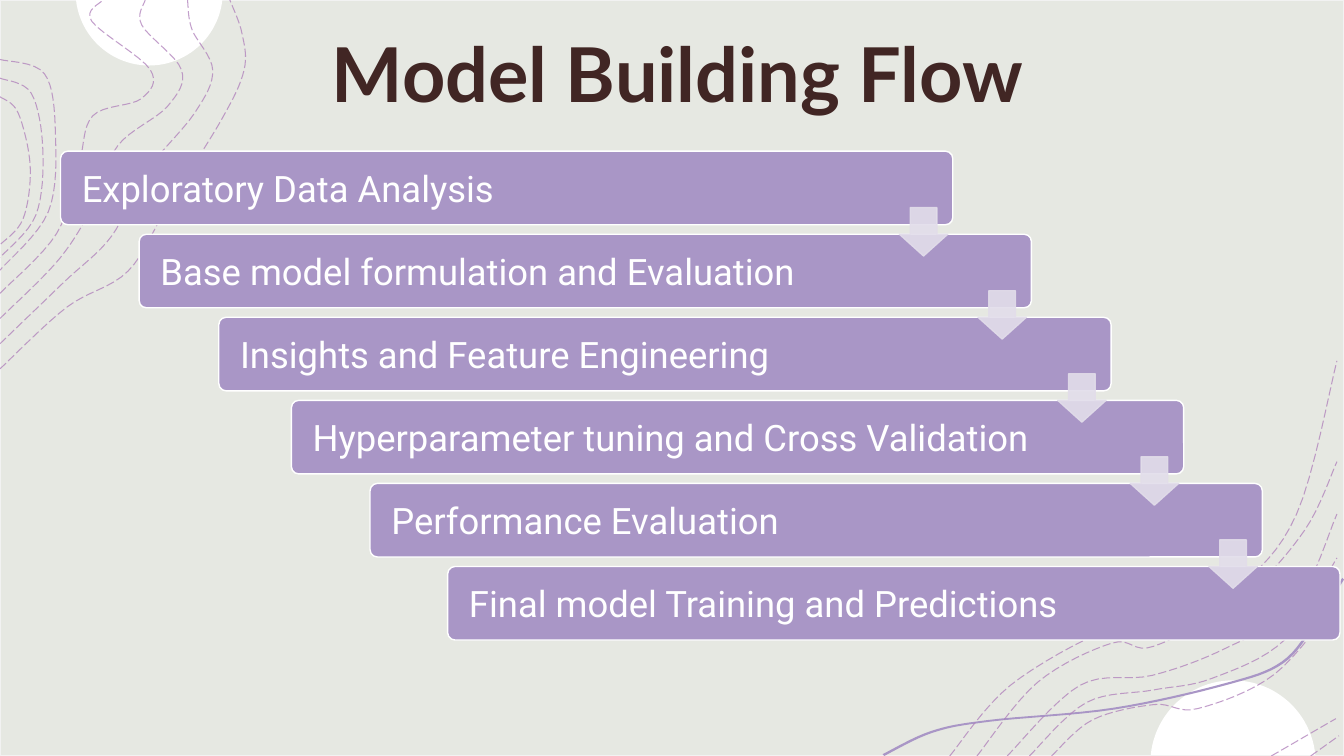
"""Build the Model Building Flow slide on a grid of tenth-of-an-inch cells."""
import math
from dataclasses import dataclass
from typing import Optional

import pptx
import pptx.dml.color
import pptx.enum.dml
import pptx.enum.shapes
import pptx.enum.text
import pptx.oxml
import pptx.oxml.ns
import pptx.util

Points = list[tuple[float, float]]
CELL = pptx.util.Inches(0.1)
COLUMNS, ROWS = 133.3, 75
COLORS = {
    "ground": "E6E8E2", "edge": "F2F2F2", "white": "FFFFFF", "contour": "AF7FBA",
    "step": "A996C6", "arrow": "E2DDEA", "title": "412624",
}
PRESET = pptx.enum.shapes.MSO_SHAPE
ALIGN = pptx.enum.text.PP_ALIGN


@dataclass
class Step:
    label: str
    left: float


@dataclass
class Dome:
    center_x: float
    center_y: float
    radius: float
    cut_y: float


@dataclass
class ContourFamily:
    lines: int
    first: Points
    last: Points


STEPS = [
    Step("Exploratory Data Analysis", 6),
    Step("Base model formulation and Evaluation", 13.8),
    Step("Insights and Feature Engineering", 21.7),
    Step("Hyperparameter tuning and Cross Validation", 28.9),
    Step("Performance Evaluation", 36.7),
    Step("Final model Training and Predictions", 44.4),
]
STEP_WIDTH, STEP_HEIGHT, FIRST_ROW, ROW_PITCH = 88.5, 7.3, 15, 8.24
ARROW_SIZE, ARROW_SHIFT, ARROW_DROP = 4.8, 83.2, 5.6
DOMES = [Dome(14.8, -0.8, 7.3, 0), Dome(122.3, 75.7, 8.2, 74.9)]
RIBBON: Points = [(133.3, 57.5), (130.7, 61.6), (127.3, 65.8), (121.5, 68),
                  (110.5, 70.4), (98.2, 71.6), (92.5, 72.7), (87.7, 75)]
RIBBON_THICKNESS = 0.17
CONTOUR_FAMILIES = [
    ContourFamily(
        4,
        [(0, 36.6), (6.6, 30.5), (12.7, 26.9), (16.7, 20.3), (21.9, 12), (24.2, 7),
         (24, 3.3), (22.8, 0)],
        [(0, 29.1), (5.6, 23.2), (7.8, 16.5), (9.2, 11.5), (14, 9.8), (14.9, 6.9),
         (9.1, 2.1), (10.2, 0)]),
    ContourFamily(
        3,
        [(0, 5.9), (4.4, 7.3), (5.5, 13.2), (4.8, 21), (0, 26.8)],
        [(0, 9.6), (1.8, 11.2), (3, 16.5), (2.3, 21.7), (0, 24.3)]),
    ContourFamily(
        2,
        [(94.2, 75), (100.2, 68), (109.8, 62.5), (113.7, 62.9), (122.4, 58.5),
         (128.6, 51), (132.6, 35.8)],
        [(96.9, 75), (102.9, 67.7), (110.3, 63.8), (114.5, 64.1), (123.3, 59.2),
         (129.4, 52.6), (132.6, 45.8)]),
    ContourFamily(
        3,
        [(99.9, 75), (107.1, 68), (114.3, 67), (121.6, 64.3), (128.5, 60), (132.6, 51)],
        [(104.3, 75), (108.4, 71.4), (114.5, 69.9), (118.8, 70.3), (126.4, 66.9),
         (132.6, 59.7)]),
    ContourFamily(2, [(130, 75), (132.8, 73)], [(126.1, 75), (132.5, 71.3)]),
]


def cells(count: float) -> int:
    """Return the length of a number of grid cells."""
    return round(count * CELL)


def blend(family: ContourFamily) -> list[Points]:
    """Space the lines of a family evenly between its first and last."""
    shares = [line / (family.lines - 1) for line in range(family.lines)]
    return [[(x + (u - x) * share, y + (v - y) * share)
             for (x, y), (u, v) in zip(family.first, family.last)] for share in shares]


def smooth(anchors: Points, pieces: int = 8) -> Points:
    """Run a Catmull-Rom curve through the anchors."""
    padded = [anchors[0], *anchors, anchors[-1]]
    curve = [anchors[0]]
    for a, b, c, d in zip(padded, padded[1:], padded[2:], padded[3:]):
        for piece in range(1, pieces + 1):
            t = piece / pieces
            x, y = (
                q + t * (r - p) / 2 + t**2 * (2 * p - 5 * q + 4 * r - s) / 2
                + t**3 * (3 * q - p - 3 * r + s) / 2
                for p, q, r, s in zip(a, b, c, d)
            )
            curve.append((x, y))
    return curve


def dome_outline(dome: Dome, pieces: int = 48) -> Points:
    """Trace the part of a circle that stays on the slide."""
    side = 1 if dome.center_y < dome.cut_y / 2 else -1
    start = math.asin((dome.cut_y - dome.center_y) * side / dome.radius)
    angles = [start + (math.pi - 2 * start) * i / pieces for i in range(pieces + 1)]
    return [(dome.center_x + dome.radius * math.cos(angle),
             dome.center_y + side * dome.radius * math.sin(angle)) for angle in angles]


def paint(shape, *, fill: Optional[str] = None, line: Optional[str] = None,
          width: float = 1, dashed: bool = False, opacity: int = 100) -> None:
    """Set fill, line and opacity, and take the shadow away."""
    shape.shadow.inherit = False
    for part, color in ((shape.fill, fill), (shape.line.fill, line)):
        if color is None:
            part.background()
        else:
            part.solid()
            part.fore_color.rgb = pptx.dml.color.RGBColor.from_string(COLORS[color])
    if line:
        shape.line.width = pptx.util.Pt(width)
    if dashed:
        shape.line.dash_style = pptx.enum.dml.MSO_LINE.LONG_DASH
    if opacity < 100:
        for color in shape.element.spPr.iter(pptx.oxml.ns.qn("a:srgbClr")):
            color.append(pptx.oxml.parse_xml(
                f'<a:alpha {pptx.oxml.ns.nsdecls("a")} val="{opacity * 1000}"/>'))


def trace(slide, points: Points, *, closed: bool = False, **style) -> None:
    """Draw an outline given in cells."""
    first, *rest = [(cells(x), cells(y)) for x, y in points]
    builder = slide.shapes.build_freeform(*first, scale=1.0)
    builder.add_line_segments(rest, close=closed)
    paint(builder.convert_to_shape(), **style)


def place(slide, preset, left: float, top: float, width: float, height: float,
          adjustments: tuple[float, ...] = (), **style):
    """Draw a preset shape at a grid position."""
    shape = slide.shapes.add_shape(preset, *map(cells, (left, top, width, height)))
    for index, value in enumerate(adjustments):
        shape.adjustments[index] = value
    paint(shape, **style)
    return shape


def write(frame, text: str, *, font: str, size: float, color: str, bold: bool = False,
          align=ALIGN.LEFT, spacing: float = 1) -> None:
    """Put one formatted, vertically centred paragraph in a frame."""
    frame.word_wrap = True
    frame.auto_size = pptx.enum.text.MSO_AUTO_SIZE.NONE
    frame.vertical_anchor = pptx.enum.text.MSO_ANCHOR.MIDDLE
    paragraph = frame.paragraphs[0]
    paragraph.alignment, paragraph.line_spacing = align, spacing
    run = paragraph.add_run()
    run.text = text
    run.font.name, run.font.size, run.font.bold = font, pptx.util.Pt(size), bold
    run.font.color.rgb = pptx.dml.color.RGBColor.from_string(COLORS[color])


def main() -> None:
    """Draw the backdrop, the steps, the arrows and the title."""
    deck = pptx.Presentation()
    deck.slide_width, deck.slide_height = cells(COLUMNS), cells(ROWS)
    slide = deck.slides.add_slide(deck.slide_layouts[5])
    place(slide, PRESET.RECTANGLE, 0, 0, COLUMNS, ROWS, fill="ground", line="edge")
    for dome in DOMES:
        trace(slide, dome_outline(dome), closed=True, fill="white")
    lower = smooth(RIBBON)
    upper = [(x - RIBBON_THICKNESS, y - RIBBON_THICKNESS) for x, y in reversed(lower)]
    trace(slide, lower + upper, closed=True, fill="step")
    for family in CONTOUR_FAMILIES:
        for contour in blend(family):
            trace(slide, smooth(contour), line="contour", width=0.75, dashed=True, opacity=75)
    tops = [FIRST_ROW + ROW_PITCH * row for row in range(len(STEPS))]
    for step, top in zip(STEPS, tops):
        bar = place(slide, PRESET.ROUNDED_RECTANGLE, step.left, top, STEP_WIDTH,
                    STEP_HEIGHT, (0.1,), fill="step", line="white")
        frame = bar.text_frame
        frame.margin_left, frame.margin_top = cells(1.9), cells(1.6)
        frame.margin_right = frame.margin_bottom = cells(1.1)
        write(frame, step.label, font="Roboto", size=26, color="white", spacing=0.9)
    for step, top in zip(STEPS[:-1], tops):
        place(slide, PRESET.DOWN_ARROW, step.left + ARROW_SHIFT, top + ARROW_DROP, ARROW_SIZE,
              ARROW_SIZE, (0.55, 0.45), fill="arrow", line="arrow", opacity=90)
    title = slide.shapes.title
    title.left, title.top, title.width, title.height = map(cells, (9.7, 2.2, 115, 10))
    write(title.text_frame, "Model Building Flow", font="Lato", size=54, color="title",
          bold=True, align=ALIGN.CENTER)
    title.element.getparent().append(title.element)
    deck.save("out.pptx")


if __name__ == "__main__":
    main()
